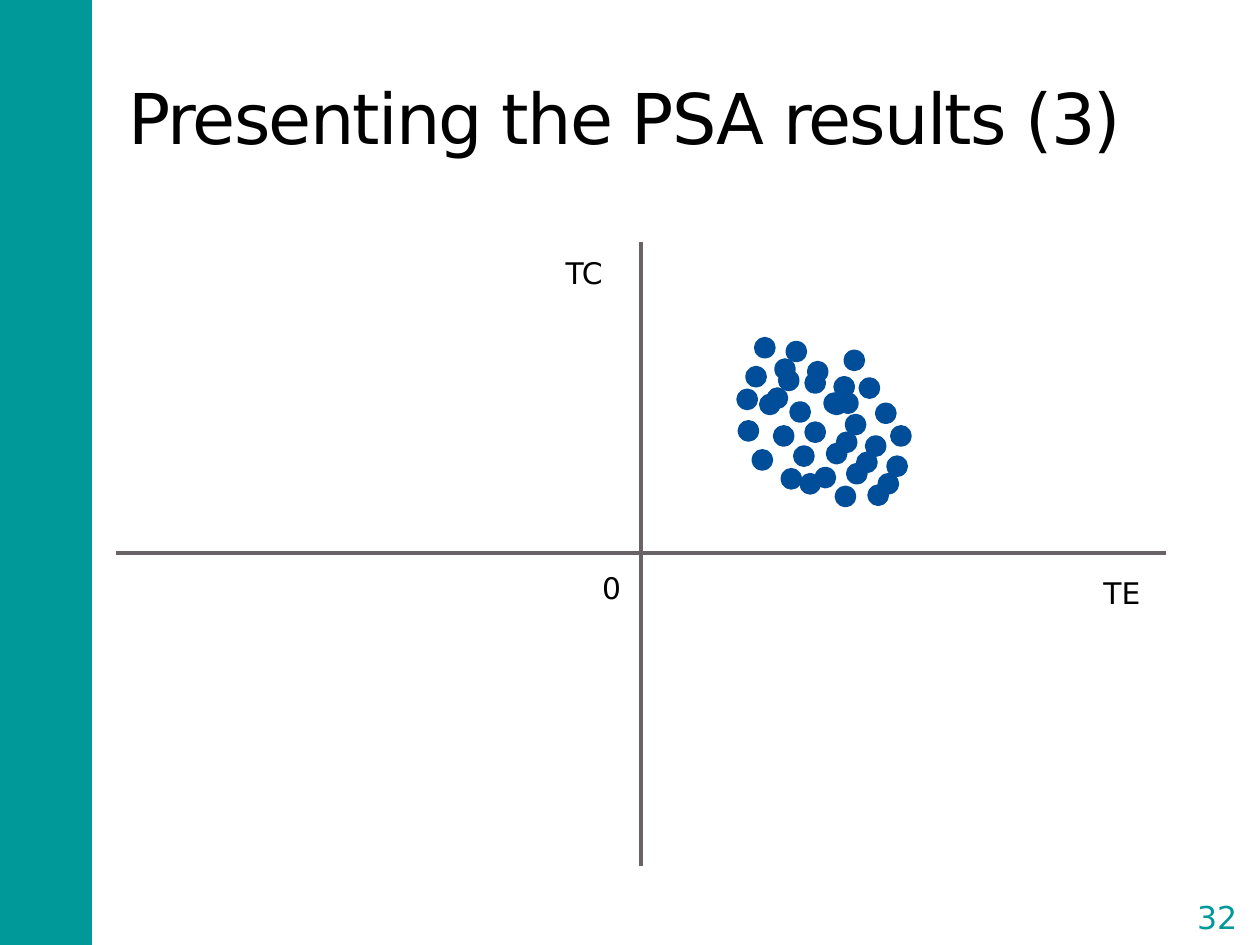
from pptx import Presentation
from pptx.dml.color import RGBColor
from pptx.enum.shapes import MSO_CONNECTOR, MSO_SHAPE
from pptx.enum.text import MSO_ANCHOR as Anchor, PP_ALIGN as Align
from pptx.oxml.ns import qn
from pptx.util import Inches, Pt
from lxml.etree import SubElement

TEAL = RGBColor(0x00, 0x99, 0x99)
BLUE = RGBColor(0x00, 0x4D, 0x99)
GREY = RGBColor(0x69, 0x63, 0x67)
BLACK = RGBColor(0x00, 0x00, 0x00)
WHITE = RGBColor(0xFF, 0xFF, 0xFF)
FONT = "DejaVu Sans"
DOT_SIZE = 0.12
AXIS_LABELS = [("TE", 8.66, 4.46, 0.6), ("TC", 4.39, 1.92, 0.6), ("0", 4.68, 4.42, 0.39)]
SIMULATIONS = [
    (5.94, 2.93), (6.66, 3.45), (6.01, 2.7), (6.2, 2.96), (6.05, 3.15), (6.26, 2.73),
    (5.87, 3.11), (6.29, 3.21), (6.41, 2.98), (6.11, 3.1), (6.56, 3.14), (6.16, 3.4),
    (6.41, 3.37), (6.82, 3.61), (6.99, 3.78), (6.17, 2.87), (6.43, 2.89), (6.58, 3.15),
    (6.73, 3.31), (6.32, 3.56), (6.84, 3.02), (6.89, 3.48), (6.49, 3.73), (6.22, 3.74),
    (7.06, 3.64), (6.72, 2.8), (5.99, 3.59), (5.88, 3.36), (6.58, 3.54), (6.74, 3.7),
    (6.65, 3.88), (7.09, 3.4), (6.97, 3.22), (6.91, 3.87), (6.37, 3.78), (6.67, 3.14),
    (6.64, 3.01),
]


def write_text(shape, text, size=17, color=BLACK, align=Align.LEFT,
               anchor=Anchor.TOP, inset=0.1, spacing=None):
    """Fill a shape with one formatted paragraph."""
    frame = shape.text_frame
    frame.word_wrap = True
    frame.vertical_anchor = anchor
    frame.margin_left = frame.margin_right = Inches(inset)
    frame.margin_top = frame.margin_bottom = Inches(inset)
    paragraph = frame.paragraphs[0]
    paragraph.alignment = align
    run = paragraph.add_run()
    run.text = text
    run.font.name = FONT
    run.font.size = Pt(size)
    run.font.color.rgb = color
    if spacing is not None:
        run.font._element.set("spc", str(spacing * 100))


def add_text(slide, text, left, top, width, height, **text_format):
    """Add a text box."""
    box = slide.shapes.add_textbox(Inches(left), Inches(top), Inches(width), Inches(height))
    write_text(box, text, **text_format)


def add_shape(slide, kind, left, top, width, height, fill=None, line=None, line_width=1):
    """Add a preset shape with a plain fill and outline."""
    shape = slide.shapes.add_shape(
        kind, Inches(left), Inches(top), Inches(width), Inches(height))
    shape.shadow.inherit = False
    if fill is None:
        shape.fill.background()
    else:
        shape.fill.solid()
        shape.fill.fore_color.rgb = fill
    if line is None:
        shape.line.fill.background()
    else:
        shape.line.color.rgb = line
        shape.line.width = Pt(line_width)
    return shape


def add_axis(slide, start_x, start_y, end_x, end_y):
    """Draw one axis of the plane."""
    axis = slide.shapes.add_connector(
        MSO_CONNECTOR.STRAIGHT, Inches(start_x), Inches(start_y), Inches(end_x), Inches(end_y))
    axis.line.color.rgb = GREY
    axis.line.width = Pt(2.25)
    SubElement(axis._element.spPr, qn("a:effectLst"))


def main():
    """Build the slide and save it."""
    presentation = Presentation()
    presentation.slide_width = Inches(10)
    presentation.slide_height = Inches(7.5)
    slide = presentation.slides.add_slide(presentation.slide_layouts[6])

    add_shape(slide, MSO_SHAPE.RECTANGLE, -0.02, 0, 0.75, 7.5, fill=TEAL)
    add_text(slide, "Presenting the PSA results (3)", 0.92, 0.3, 8.33, 1.25,
             size=40, anchor=Anchor.MIDDLE, spacing=-1)
    page_number = add_shape(slide, MSO_SHAPE.DOUBLE_BRACKET, 9.36, 7.06, 0.6, 0.43,
                            line=WHITE, line_width=1.5)
    write_text(page_number, "32", size=18, color=TEAL, align=Align.CENTER,
               anchor=Anchor.MIDDLE, inset=0)

    add_axis(slide, 5.09, 1.92, 5.09, 6.87)
    add_axis(slide, 9.25, 4.39, 0.92, 4.39)
    for text, left, top, width in AXIS_LABELS:
        add_text(slide, text, left, top, width, 0.43)
    for left, top in SIMULATIONS:
        add_shape(slide, MSO_SHAPE.OVAL, left, top, DOT_SIZE, DOT_SIZE,
                  fill=BLUE, line=BLUE, line_width=3.75)

    presentation.save("out.pptx")


if __name__ == "__main__":
    main()
